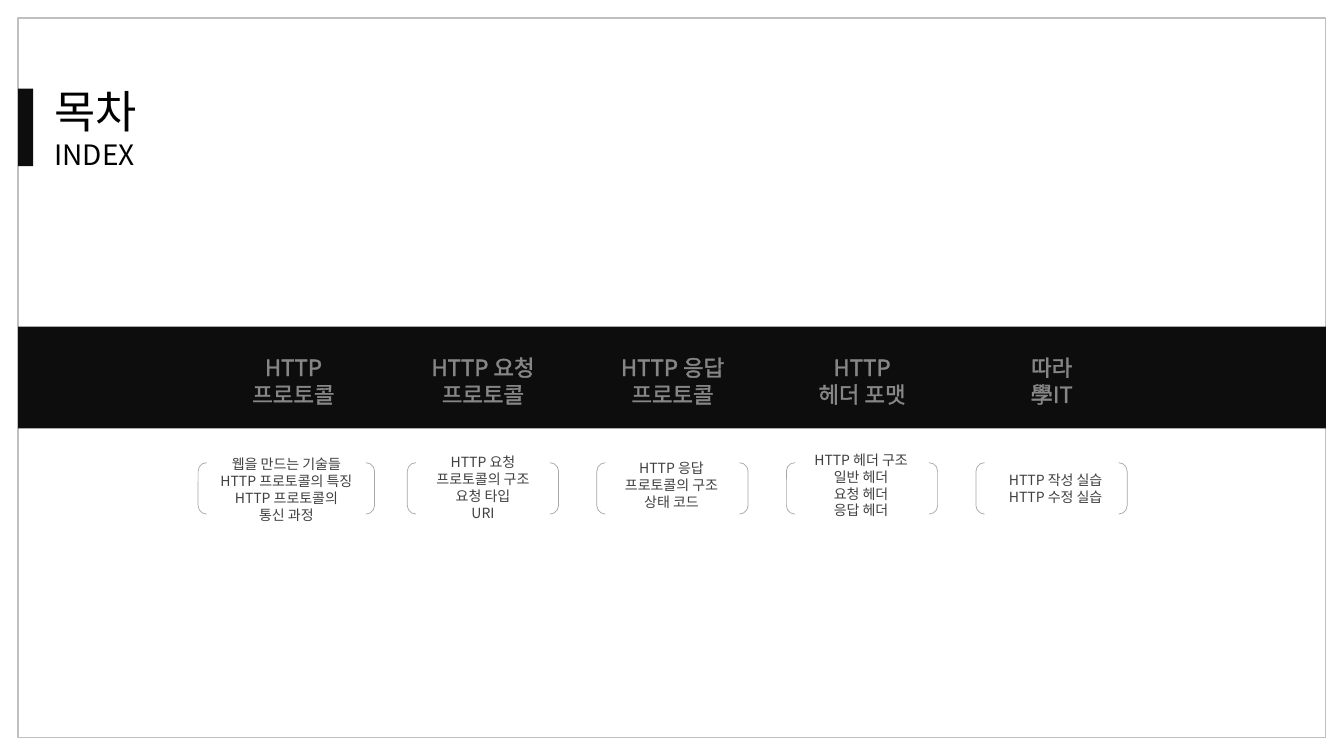
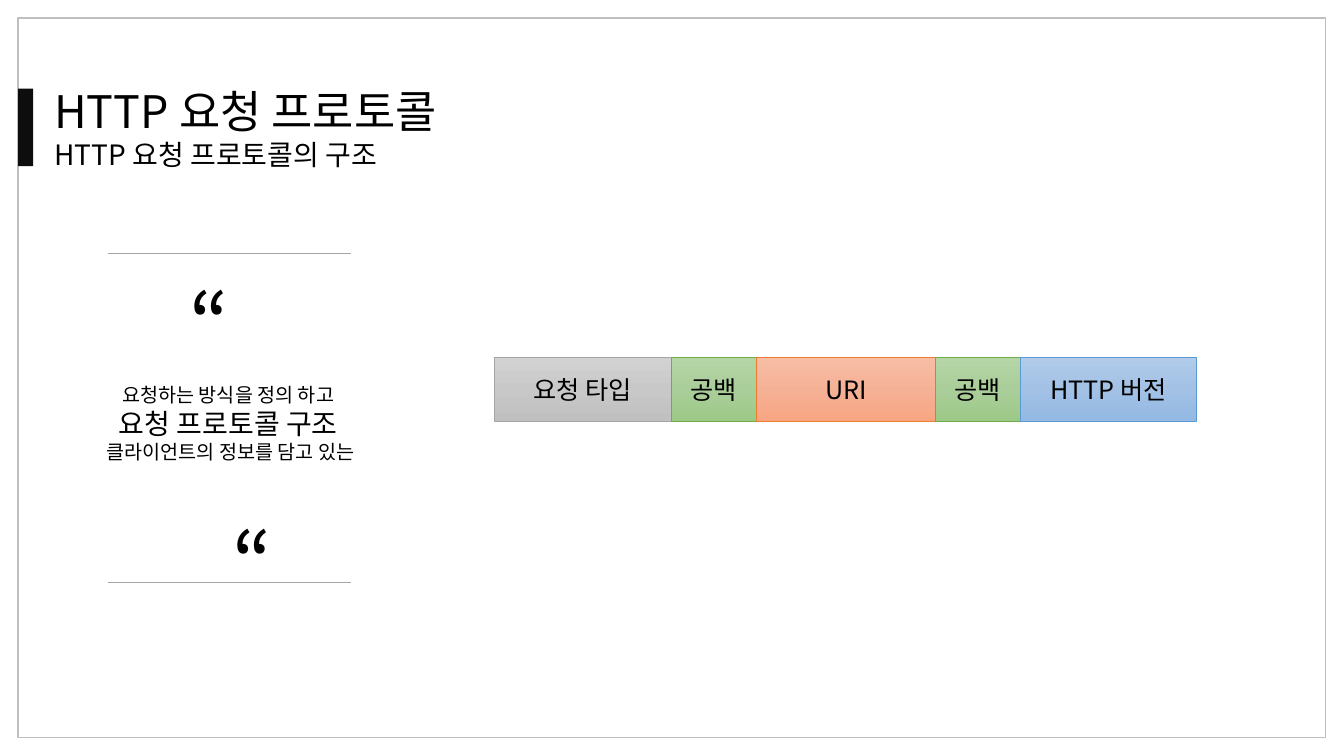
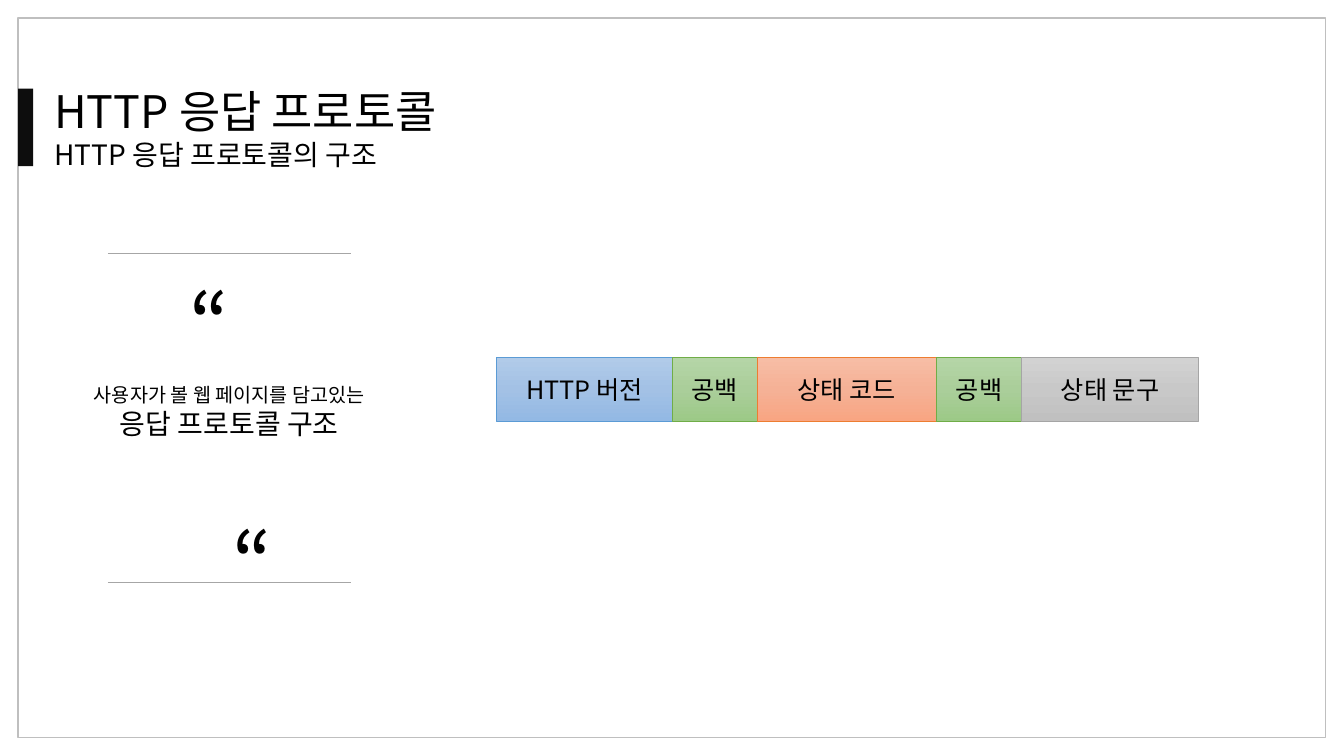
"""Build three slides on the HTTP protocol: index, request structure and response structure."""
import copy

import lxml.etree
import pptx
import pptx.dml.color
import pptx.enum.shapes
import pptx.enum.text
import pptx.oxml.ns
import pptx.util

Inches = pptx.util.Inches
Pt = pptx.util.Pt
SHAPES = pptx.enum.shapes.MSO_SHAPE
ALIGN = pptx.enum.text.PP_ALIGN
qn = pptx.oxml.ns.qn

FONT = "Noto Sans CJK KR"
BLACK, WHITE, BAND = "000000", "FFFFFF", "0D0D0D"
FRAME_LINE, THIN_LINE = "BFBFBF", "A6A6A6"
DETAIL, QUOTE_EDGE = "404040", "595959"
FRAME_LEFT, FRAME_WIDTH = 0.18, 12.97

SEGMENT_STYLES = {
    "gray": (1.76, ("D2D2D2", "C8C8C8", "C0C0C0"), "A5A5A5"),
    "green": (0.84, ("B5D5A7", "AACE9A", "9CC987"), "70AD47"),
    "orange": (1.78, ("F7BDA5", "F5B196", "F8A582"), "ED7D31"),
    "blue": (1.75, ("B1CBE9", "A3C1E5", "93B9E4"), "5B9BD5"),
}

INDEX_COLUMNS = [
    (["HTTP", "프로토콜"], 2.84, 4.47,
     ["웹을 만드는 기술들", "HTTP 프로토콜의 특징", "HTTP 프로토콜의", "통신 과정"]),
    (["HTTP 요청", "프로토콜"], 4.79, 4.45,
     ["HTTP 요청", "프로토콜의 구조", "요청 타입", "URI"]),
    (["HTTP 응답 프로토콜"], 6.66, 4.51, ["HTTP 응답", "프로토콜의 구조", "상태 코드"]),
    (["HTTP", "헤더 포맷"], 8.54, 4.43,
     ["HTTP 헤더 구조", "일반 헤더", "요청 헤더", "응답 헤더"]),
    (["따라", "學IT"], 10.47, 4.63, ["HTTP 작성 실습", "HTTP 수정 실습"]),
]


def rgb(color):
    return pptx.dml.color.RGBColor.from_string(color)


def outline_run(run, color, opacity):
    line = lxml.etree.Element(qn("a:ln"), w=str(Pt(0.75)))
    fill = lxml.etree.SubElement(line, qn("a:solidFill"))
    tone = lxml.etree.SubElement(fill, qn("a:srgbClr"), val=color)
    lxml.etree.SubElement(tone, qn("a:alpha"), val=str(opacity * 1000))
    run.font._element.insert(0, line)


def write_lines(frame, lines, color, align, outline=None):
    for number, (text, size) in enumerate(lines):
        paragraph = frame.add_paragraph() if number else frame.paragraphs[0]
        paragraph.alignment = align
        run = paragraph.add_run()
        run.text = text
        run.font.size = Pt(size)
        run.font.color.rgb = rgb(color)
        run.font.name = FONT
        lxml.etree.SubElement(run.font._element, qn("a:ea"), typeface=FONT)
        if outline:
            outline_run(run, *outline)


def add_text(slide, box, lines, color, outline, align=ALIGN.CENTER, wrap=True):
    frame = slide.shapes.add_textbox(*map(Inches, box)).text_frame
    frame.word_wrap = wrap
    frame.auto_size = pptx.enum.text.MSO_AUTO_SIZE.SHAPE_TO_FIT_TEXT
    write_lines(frame, lines, color, align, outline)


def add_box(slide, box, fill=None, line=None, line_width=1, kind=SHAPES.RECTANGLE):
    shape = slide.shapes.add_shape(kind, *map(Inches, box))
    shape.shadow.inherit = False
    if fill:
        shape.fill.solid()
        shape.fill.fore_color.rgb = rgb(fill)
    else:
        shape.fill.background()
    if line:
        shape.line.color.rgb = rgb(line)
        shape.line.width = Pt(line_width)
    else:
        shape.line.fill.background()
    return shape


def add_rule(slide, left, right, top):
    rule = slide.shapes.add_connector(
        pptx.enum.shapes.MSO_CONNECTOR.STRAIGHT, *map(Inches, (left, top, right, top)))
    rule.line.color.rgb = rgb(THIN_LINE)
    rule.line.width = Pt(0.75)
    lxml.etree.SubElement(rule._element.spPr, qn("a:effectLst"))


def fill_gradient(shape, colors):
    shape.fill.gradient()
    shape.fill.gradient_angle = 270
    first_stop = next(shape._element.spPr.iter(qn("a:gs")))
    first_stop.addnext(copy.deepcopy(first_stop))
    for stop, color, position in zip(shape.fill.gradient_stops, colors, (0, 0.5, 1)):
        stop.color.rgb = rgb(color)
        stop.position = position


def add_framed_slide(presentation, title, subtitle, title_width):
    slide = presentation.slides.add_slide(presentation.slide_layouts[6])
    add_box(slide, (FRAME_LEFT, 0.18, FRAME_WIDTH, 7.14), line=FRAME_LINE)
    add_box(slide, (FRAME_LEFT, 0.88, 0.15, 0.77), fill=BAND)
    add_text(slide, (0.44, 0.78, title_width, 0.98), [(title, 32), (subtitle, 20)],
             BLACK, (BLACK, 50), ALIGN.LEFT)
    return slide


def add_index_column(slide, number, heading, detail_center, detail_top, details):
    center = 2.91 + 1.88 * number
    bracket_center, bracket_width = (center, 1.5) if number else (2.84, 1.75)
    detail_width = bracket_width - 0.1
    add_text(slide, (center - 0.69, 3.46, 1.38, 0.64),
             [(text, 16) for text in heading], WHITE, (WHITE, 50))
    add_box(slide, (bracket_center - bracket_width / 2, 4.59, bracket_width, 0.51),
            line=THIN_LINE, line_width=0.5, kind=SHAPES.DOUBLE_BRACKET)
    add_text(slide, (detail_center - detail_width / 2, detail_top,
                     detail_width, 0.1 + 0.17 * len(details)),
             [(text, 10) for text in details], DETAIL, (DETAIL, 30), wrap=False)


def add_quote(slide, box, lines):
    for top in (2.52, 5.78):
        add_rule(slide, 1.07, 3.48, top)
    for left, top in ((-0.08, 2.64), (0.35, 5.02)):
        add_text(slide, (left, top, 4.31, 1.11), [("“", 60)], BLACK, (QUOTE_EDGE, 30))
    add_text(slide, box, lines, BLACK, (QUOTE_EDGE, 30))


def add_segments(slide, left, segments):
    for text, style in segments:
        width, colors, line = SEGMENT_STYLES[style]
        shape = add_box(slide, (left, 3.55, width, 0.63), line=line, line_width=0.5)
        fill_gradient(shape, colors)
        shape.text_frame.vertical_anchor = pptx.enum.text.MSO_ANCHOR.MIDDLE
        write_lines(shape.text_frame, [(text, 18)], BLACK, ALIGN.CENTER)
        left += width


def add_structure_slide(presentation, title, quote_box, quote, left, segments):
    slide = add_framed_slide(presentation, title, title + "의 구조", 5.31)
    add_quote(slide, quote_box, quote)
    add_segments(slide, left, segments)


def main():
    presentation = pptx.Presentation()
    presentation.slide_width = Inches(13.33)
    presentation.slide_height = Inches(7.5)

    index = add_framed_slide(presentation, "목차", "INDEX", 1.37)
    add_box(index, (FRAME_LEFT, 3.24, FRAME_WIDTH, 1.01), fill=BAND)
    for number, column in enumerate(INDEX_COLUMNS):
        add_index_column(index, number, *column)

    add_structure_slide(
        presentation, "HTTP 요청 프로토콜", (0.68, 3.75, 3.17, 1.06),
        [("요청하는 방식을 정의 하고", 14), ("요청 프로토콜 구조", 20),
         (" 클라이언트의 정보를 담고 있는", 14)],
        4.9, [("요청 타입", "gray"), ("공백", "green"), ("URI", "orange"),
              ("공백", "green"), ("HTTP 버전", "blue")])
    add_structure_slide(
        presentation, "HTTP 응답 프로토콜", (0.45, 3.75, 3.65, 0.82),
        [("사용자가 볼 웹 페이지를 담고있는", 14), ("응답 프로토콜 구조", 20)],
        4.92, [("HTTP 버전", "blue"), ("공백", "green"), ("상태 코드", "orange"),
               ("공백", "green"), ("상태 문구", "gray")])

    presentation.save("out.pptx")


if __name__ == "__main__":
    main()
